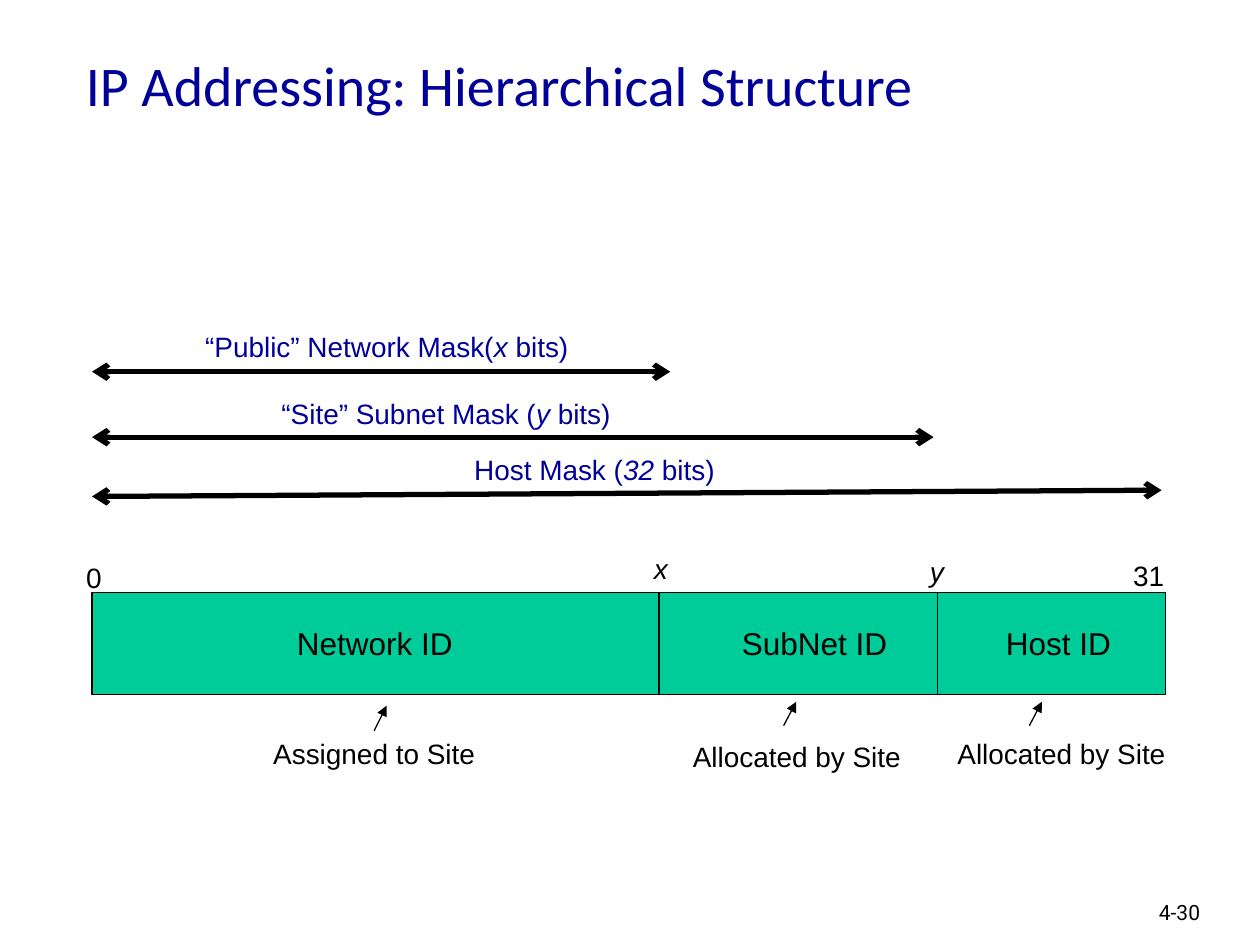
from lxml import etree
from pptx import Presentation
from pptx.dml.color import RGBColor
from pptx.enum import shapes, text
from pptx.oxml.ns import qn
from pptx.util import Pt

COLORS = {"navy": "000099", "black": "000000", "green": "00CC99"}
TITLE = "IP Addressing: Hierarchical Structure"
PAGE_NUMBER = "4-30"
ADDRESS = {"left": 52.6, "top": 338.4, "right": 666, "bottom": 396.7}
DIVIDERS = [376.6, 535.7]
FIELDS = [("Network ID", 162, 104.4), ("SubNet ID", 416.2, 98.6), ("Host ID", 567.4, 74.9)]
MASKS = [
    ("“Public” Network Mask(*x* bits)", 108.7, 185, 224.6, 383, 212.4, 212.4),
    ("“Site” Subnet Mask (*y* bits)", 152.4, 223.2, 205, 533.5, 249.8, 249.8),
    ("Host Mask (*32* bits)", 262.7, 254.9, 154, 663.8, 283.7, 280.1),
]
BITS = [("0", 41.8, 316.8, 23.8), ("*x*", 366.5, 311.8, 22.3),
        ("*y*", 524.2, 313.2, 22.3), ("31", 640.1, 315.4, 32.4)]
OWNERS = [
    ("Assigned to Site", 148.3, 417.6, 131, 213.8, 417.6, 403.2),
    ("Allocated by Site", 388.1, 419, 134.6, 447.8, 414.7, 401),
    ("Allocated by Site", 539.3, 417.6, 134.6, 588.2, 414.7, 401),
]
ARROW_RUN = 7.2


def rgb(color):
    return RGBColor.from_string(COLORS[color])


def write(frame, content, size, color="black", font="Arial", align=text.PP_ALIGN.CENTER):
    paragraph = frame.paragraphs[0]
    paragraph.alignment = align
    for index, part in enumerate(content.split("*")):
        if part:
            run = paragraph.add_run()
            run.text = part
            style = {"name": font, "size": Pt(size), "italic": index % 2 == 1}
            for key, value in style.items():
                setattr(run.font, key, value)
            run.font.color.rgb = rgb(color)


def label(content, left, top, width, height=26.6, size=16, wrap=False, **style):
    box = slide.shapes.add_textbox(Pt(left), Pt(top), Pt(width), Pt(height))
    box.text_frame.word_wrap = wrap
    write(box.text_frame, content, size, **style)


def line(x1, y1, x2, y2, width=0.75, head=None, tail=None):
    connector = slide.shapes.add_connector(
        shapes.MSO_CONNECTOR.STRAIGHT, Pt(x1), Pt(y1), Pt(x2), Pt(y2))
    connector.line.color.rgb = rgb("black")
    connector.line.width = Pt(width)
    outline = connector.line._get_or_add_ln()
    for tag, kind in (("a:headEnd", head), ("a:tailEnd", tail)):
        if kind:
            etree.SubElement(outline, qn(tag), type=kind)
    etree.SubElement(connector._element.spPr, qn("a:effectLst"))


deck = Presentation()
deck.slide_width, deck.slide_height = Pt(720), Pt(540)
slide = deck.slides.add_slide(deck.slide_layouts[5])

title = slide.shapes.title
for key, value in {"left": 41.8, "top": 18, "width": 612, "height": 90}.items():
    setattr(title, key, Pt(value))
for key, value in {"vertical_anchor": text.MSO_ANCHOR.TOP, "margin_top": Pt(11),
                   "word_wrap": True, "auto_size": text.MSO_AUTO_SIZE.NONE}.items():
    setattr(title.text_frame, key, value)
write(title.text_frame, TITLE, 32, "navy", "Calibri", text.PP_ALIGN.LEFT)
label(PAGE_NUMBER, 655.2, 510.5, 53.3, 21.6, 12, True, font="Roboto", align=text.PP_ALIGN.LEFT)

left, top, right, bottom = ADDRESS.values()
address = slide.shapes.add_shape(
    shapes.MSO_SHAPE.RECTANGLE, Pt(left), Pt(top), Pt(right - left), Pt(bottom - top))
address.shadow.inherit = False
address.fill.solid()
address.fill.fore_color.rgb = rgb("green")
address.line.color.rgb = rgb("black")
address.line.width = Pt(0.75)

for x in DIVIDERS:
    line(x, top, x, bottom)
for name, x, width in FIELDS:
    label(name, x, 352.8, width, 28.8, 18)
for mask, x, y, width, end, start_y, end_y in MASKS:
    label(mask, x, y, width, color="navy")
    line(left, start_y, end, end_y, 3, "arrow", "arrow")
for bit in BITS:
    label(*bit)
for owner, x, y, width, arrow_x, start_y, end_y in OWNERS:
    label(owner, x, y, width)
    line(arrow_x, start_y, arrow_x + ARROW_RUN, end_y, tail="triangle")

deck.save("out.pptx")
